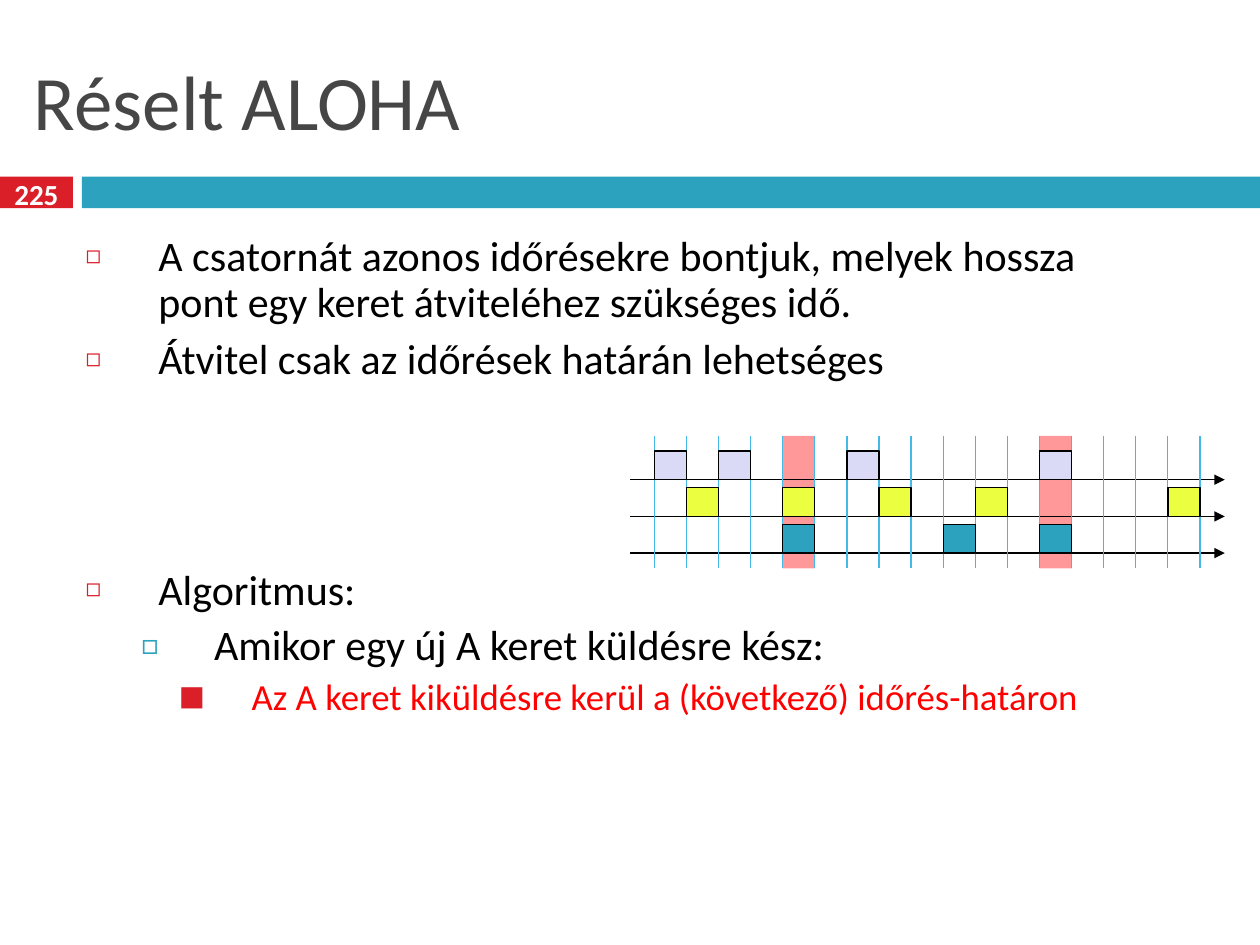
from lxml import etree
from pptx import Presentation
from pptx import util as u
from pptx.dml.color import RGBColor
from pptx.enum import shapes, text
from pptx.oxml.ns import qn

COLOURS = {
    "red": "DA1F28", "teal": "2DA2BF", "grey": "464646", "black": "000000",
    "white": "FFFFFF", "alert": "FF0000", "collision": "FF9999",
    "slot": "44B9E8", "lilac": "DADAF6", "yellow": "ECFE40",
}


def colour(name):
    return RGBColor.from_string(COLOURS[name])


def apply(target, values):
    for name, value in values.items():
        setattr(target, name, value)


class SlideBuilder:
    font_name = "Calibri"
    line_width = u.Pt(0.75)

    def __init__(self, page):
        self.page = page
        self.surface = page.shapes

    def start_group(self):
        self.surface = self.page.shapes.add_group_shape().shapes

    def place(self, shape, left, top, width, height):
        apply(shape, {"left": u.Cm(left), "top": u.Cm(top),
                      "width": u.Cm(width), "height": u.Cm(height)})

    def add_words(self, para, words, size, ink, bold=False):
        span = para.add_run()
        span.text = words
        apply(span.font, {"name": self.font_name, "size": u.Pt(size), "bold": bold})
        span.font.color.rgb = colour(ink)

    def rectangle(self, left, top, width, height, fill, outline=None):
        box = self.surface.add_shape(shapes.MSO_SHAPE.RECTANGLE, u.Cm(left),
                                     u.Cm(top), u.Cm(width), u.Cm(height))
        box.shadow.inherit = False
        box.fill.solid()
        box.fill.fore_color.rgb = colour(fill)
        if outline:
            box.line.color.rgb = colour(outline)
            box.line.width = self.line_width
        else:
            box.line.fill.background()

    def line(self, start, end, ink, arrow=False):
        line = self.surface.add_connector(
            shapes.MSO_CONNECTOR.STRAIGHT, *(u.Cm(value) for value in (*start, *end)))
        line.line.color.rgb = colour(ink)
        line.line.width = self.line_width
        if arrow:
            outline = line._element.spPr.find(qn("a:ln"))
            etree.SubElement(outline, qn("a:tailEnd"), type="triangle")
        etree.SubElement(line._element.spPr, qn("a:effectLst"))

    def title(self, words, *area):
        box = self.page.shapes.title
        self.place(box, *area)
        apply(box.text_frame, {"vertical_anchor": text.MSO_ANCHOR.MIDDLE,
                               "auto_size": text.MSO_AUTO_SIZE.NONE})
        para = box.text_frame.paragraphs[0]
        para.alignment = text.PP_ALIGN.LEFT
        self.add_words(para, words, 44, "grey")

    def page_number(self, words, *area):
        box = self.surface.add_textbox(0, 0, 0, 0)
        self.place(box, *area)
        apply(box.text_frame, {
            "word_wrap": True, "vertical_anchor": text.MSO_ANCHOR.MIDDLE,
            "margin_left": 0, "margin_right": 0, "margin_top": 0, "margin_bottom": 0})
        para = box.text_frame.paragraphs[0]
        para.alignment = text.PP_ALIGN.CENTER
        self.add_words(para, words, 16.6, "white", bold=True)

    def bullet(self, para, symbol, ink, percent, indent):
        properties = para._p.get_or_add_pPr()
        properties.set("marL", str(u.Cm(indent)))
        properties.set("indent", str(u.Cm(-1.47)))
        tint = etree.SubElement(properties, qn("a:buClr"))
        etree.SubElement(tint, qn("a:srgbClr"), val=COLOURS[ink])
        etree.SubElement(properties, qn("a:buSzPct"), val=str(percent * 1000))
        etree.SubElement(properties, qn("a:buFont"), typeface=self.font_name)
        etree.SubElement(properties, qn("a:buChar"), char=symbol)

    def body(self, items, levels, *area):
        box = self.page.placeholders[1]
        self.place(box, *area)
        frame = box.text_frame
        frame.auto_size = text.MSO_AUTO_SIZE.NONE
        for index, (level, before, words) in enumerate(items):
            para = frame.add_paragraph() if index else frame.paragraphs[0]
            marker, size, ink = levels[level]
            self.bullet(para, *marker)
            apply(para, {"level": level, "line_spacing": 0.9, "space_before": u.Pt(before),
                         "space_after": u.Pt(0), "alignment": text.PP_ALIGN.LEFT})
            self.add_words(para, words, size, ink)


def draw_timeline(slide):
    left, top, height = 13.19, 8.79, 2.67
    slots = 17
    pitch = 11 / slots
    first_axis, row_gap, frame_height = 9.67, 0.74, 0.58
    senders = [("lilac", (0, 2, 6, 12)), ("yellow", (1, 4, 7, 10, 16)),
               ("teal", (4, 9, 12))]
    axes = [first_axis + row * row_gap for row in range(len(senders))]

    slide.start_group()
    for slot in (4, 12):
        slide.rectangle(left + slot * pitch, top, pitch, height, "collision")
    for axis in axes:
        slide.line((12.7, axis), (24.69, axis), "black", arrow=True)
    for slot in range(slots + 1):
        x = left + slot * pitch
        slide.line((x, top), (x, top + height), "slot")
    for axis, (fill, used) in zip(axes, senders):
        for slot in used:
            slide.rectangle(left + slot * pitch, axis - frame_height,
                            pitch, frame_height, fill, "black")


def main():
    deck = Presentation()
    deck.slide_width, deck.slide_height = u.Cm(25.4), u.Cm(19.05)
    slide = SlideBuilder(deck.slides.add_slide(deck.slide_layouts[1]))

    slide.rectangle(0, 3.56, 1.47, 0.64, "red")
    slide.rectangle(1.65, 3.56, 23.75, 0.64, "teal")
    slide.page_number("225", 0, 3.48, 1.47, 0.84)
    slide.title("Réselt ALOHA", 0.43, 0.64, 24.56, 2.74)

    levels = [(("◻", "red", 60, 1.47), 24, "black"),
              (("□", "teal", 70, 2.59), 24, "black"),
              (("■", "red", 75, 3.35), 21, "alert")]
    items = [
        (0, 0, "A csatornát azonos időrésekre bontjuk, melyek hossza "
               "pont egy keret átviteléhez szükséges idő."),
        (0, 7, "Átvitel csak az időrések határán lehetséges"),
        (0, 106, "Algoritmus:"),
        (1, 5.5, "Amikor egy új A keret küldésre kész:"),
        (2, 5, "Az A keret kiküldésre kerül a (következő) időrés-határon"),
    ]
    slide.body(items, levels, 1.47, 4.62, 20.83, 12.07)
    draw_timeline(slide)
    deck.save("out.pptx")


if __name__ == "__main__":
    main()
